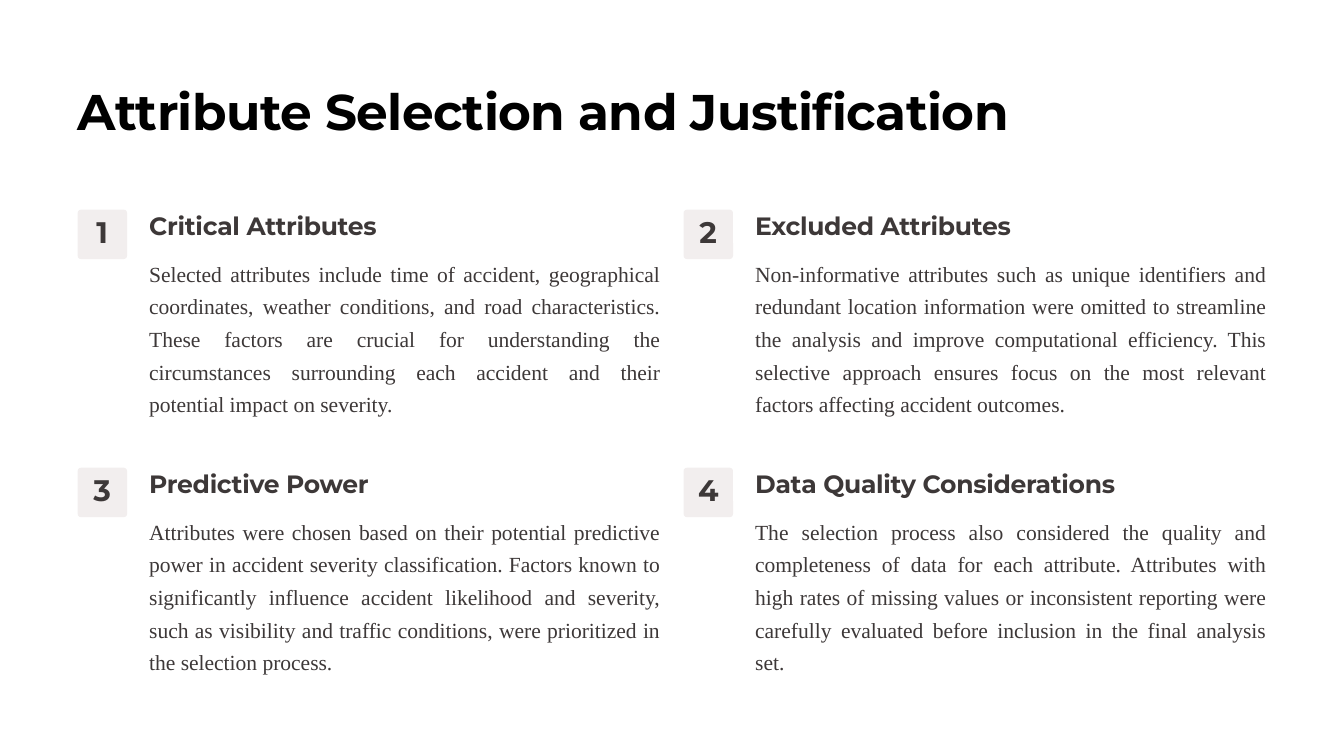
from pptx import Presentation
from pptx.dml.color import RGBColor
from pptx.enum.shapes import MSO_SHAPE
from pptx.enum.text import PP_ALIGN
from pptx.util import Inches, Pt

ROUND = MSO_SHAPE.ROUNDED_RECTANGLE
LEFT, CENTER, JUSTIFY = PP_ALIGN.LEFT, PP_ALIGN.CENTER, PP_ALIGN.JUSTIFY

BLACK = RGBColor(0x00, 0x00, 0x00)
DARK = RGBColor(0x3D, 0x38, 0x38)
PALE = RGBColor(0xF2, 0xEE, 0xEE)
WHITE = RGBColor(0xFF, 0xFF, 0xFF)
HEAD_FONT = "Montserrat"
BODY_FONT = "Times New Roman"

# Grid of numbered points
MARGIN, TOP = 0.77, 2.08
COL_STEP, ROW_STEP = 6.01, 2.56
BADGE = 0.49
NUM_W = 0.2
INDENT = 0.71

POINTS = [
    ("Critical Attributes", 2.5,
     "Selected attributes include time of accident, geographical coordinates, "
     "weather conditions, and road characteristics. These factors are crucial "
     "for understanding the circumstances surrounding each accident and their "
     "potential impact on severity."),
    ("Excluded Attributes", 2.56,
     "Non-informative attributes such as unique identifiers and redundant "
     "location information were omitted to streamline the analysis and improve "
     "computational efficiency. This selective approach ensures focus on the "
     "most relevant factors affecting accident outcomes."),
    ("Predictive Power", 2.5,
     "Attributes were chosen based on their potential predictive power in "
     "accident severity classification. Factors known to significantly "
     "influence accident likelihood and severity, such as visibility and "
     "traffic conditions, were prioritized in the selection process."),
    ("Data Quality Considerations", 3.59,
     "The selection process also considered the quality and completeness of "
     "data for each attribute. Attributes with high rates of missing values or "
     "inconsistent reporting were carefully evaluated before inclusion in the "
     "final analysis set."),
]


def add_text(slide, text, x, y, w, h, size, line, color=DARK,
             font=HEAD_FONT, align=LEFT, track=0, wrap=False):
    box = slide.shapes.add_textbox(Inches(x), Inches(y), Inches(w), Inches(h))
    frame = box.text_frame
    frame.margin_left = frame.margin_right = 0
    frame.margin_top = frame.margin_bottom = 0
    frame.word_wrap = wrap
    frame.text = text
    para = frame.paragraphs[0]
    para.alignment = align
    para.line_spacing = Pt(line)
    run = para.runs[0]
    run.font.name = font
    run.font.size = Pt(size)
    run.font.bold = font == HEAD_FONT
    run.font.color.rgb = color
    if track:
        # Letter spacing in hundredths of a point
        run._r.get_or_add_rPr().set("spc", str(round(track * 100)))


def add_badge(slide, num, x, y):
    tile = slide.shapes.add_shape(ROUND, Inches(x), Inches(y),
                                  Inches(BADGE), Inches(BADGE))
    tile.adjustments[0] = 0.067
    tile.shadow.inherit = False
    tile.fill.solid()
    tile.fill.fore_color.rgb = PALE
    tile.line.fill.background()
    add_text(slide, str(num), x + (BADGE - NUM_W) / 2, y + 0.1, NUM_W, 0.3,
             21.2, 21.2, align=CENTER, track=-0.2)


def add_point(slide, num, head, width, body, x, y):
    add_badge(slide, num, x, y)
    add_text(slide, head, x + INDENT, y, width, 0.31, 17.9, 22.1, track=-0.2)
    add_text(slide, body, x + INDENT, y + 0.44, 5.07, 1.65, 15.4, 23.3,
             font=BODY_FONT, align=JUSTIFY, wrap=True)


def main():
    deck = Presentation()
    deck.slide_width, deck.slide_height = Inches(13.33), Inches(7.5)
    slide = deck.slides.add_slide(deck.slide_layouts[6])
    slide.background.fill.solid()
    slide.background.fill.fore_color.rgb = WHITE

    # Title
    add_text(slide, "Attribute Selection and Justification", MARGIN, 0.77,
             9.3, 0.62, 35.8, 44.6, color=BLACK, track=-0.4)

    # Points, two to a row
    for i, (head, width, body) in enumerate(POINTS):
        row, col = divmod(i, 2)
        add_point(slide, i + 1, head, width, body,
                  MARGIN + col * COL_STEP, TOP + row * ROW_STEP)

    deck.save("out.pptx")


if __name__ == "__main__":
    main()
